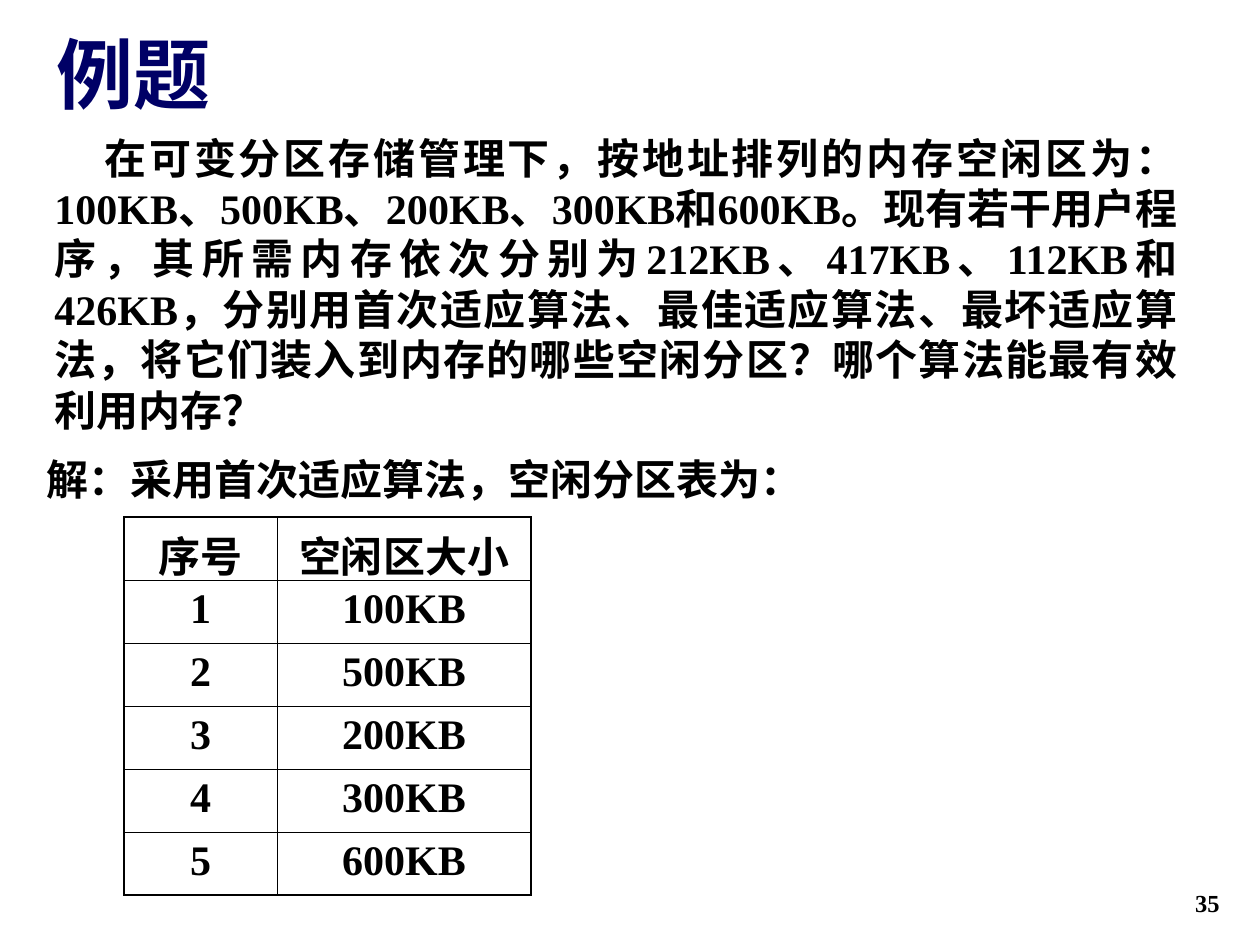
from lxml import etree
from pptx import Presentation
from pptx import util as u
from pptx.dml.color import RGBColor
from pptx.enum import text
from pptx.oxml.ns import qn

NAVY = RGBColor(0x00, 0x00, 0x66)
BLACK = RGBColor(0x00, 0x00, 0x00)
SANS, SERIF = "Cabin", "Times New Roman"
PX = u.Inches(1) // 126
THICK, THIN = u.Pt(1.08), u.Pt(0.45)

TITLE = "例题"
QUESTION = (
    "在可变分区存储管理下，按地址排列的内存空闲区为：100KB、500KB、200KB、300KB和600KB。"
    "现有若干用户程序，其所需内存依次分别为212KB、417KB、112KB和426KB，"
    "分别用首次适应算法、最佳适应算法、最坏适应算法，将它们装入到内存的哪些空闲分区？"
    "哪个算法能最有效利用内存？"
)
ANSWER = "解：采用首次适应算法，空闲分区表为："
HEADINGS = ("序号", "空闲区大小")
FREE_SIZES = ("100KB", "500KB", "200KB", "300KB", "600KB")
PAGE = "35"

TABLE_LEFT, TABLE_TOP, ROW_HEIGHT = 124, 517, 63
COLUMN_WIDTHS = (153, 254)


def write(frame, words, size=24, font=SERIF, color=BLACK,
          align=text.PP_ALIGN.LEFT, indent=0):
    paragraph = frame.paragraphs[0]
    paragraph.alignment = align
    if indent:
        paragraph._p.get_or_add_pPr().set("indent", str(indent * PX))
    run = paragraph.add_run()
    run.text = words
    run.font.size, run.font.bold = u.Pt(size), True
    run.font.name, run.font.color.rgb = font, color


def add_text(slide, box, words, anchor=text.MSO_ANCHOR.TOP, **style):
    frame = slide.shapes.add_textbox(*(n * PX for n in box)).text_frame
    frame.word_wrap = True
    frame.vertical_anchor = anchor
    write(frame, words, **style)


def set_borders(cell, widths):
    """Draw the left, right, top and bottom borders, in that order."""
    properties = cell._tc.get_or_add_tcPr()
    for index, (side, width) in enumerate(zip("LRTB", widths)):
        line = etree.Element(qn(f"a:ln{side}"), w=str(width))
        fill = etree.SubElement(line, qn("a:solidFill"))
        etree.SubElement(fill, qn("a:srgbClr"), val=str(BLACK))
        properties.insert(index, line)


def add_partition_table(slide):
    rows = [HEADINGS, *((str(n), size) for n, size in enumerate(FREE_SIZES, 1))]
    last_row, last_column = len(rows) - 1, len(HEADINGS) - 1
    table = slide.shapes.add_table(
        len(rows), len(HEADINGS), TABLE_LEFT * PX, TABLE_TOP * PX,
        sum(COLUMN_WIDTHS) * PX, len(rows) * ROW_HEIGHT * PX).table
    table.first_row = table.horz_banding = False
    for column, width in zip(table.columns, COLUMN_WIDTHS):
        column.width = width * PX
    for r, row in enumerate(rows):
        table.rows[r].height = ROW_HEIGHT * PX
        for c, words in enumerate(row):
            cell = table.cell(r, c)
            cell.fill.background()
            write(cell.text_frame, words, align=text.PP_ALIGN.CENTER)
            outer = (c == 0, c == last_column, r == 0, r == last_row)
            set_borders(cell, [THICK if edge else THIN for edge in outer])


def main():
    deck = Presentation()
    deck.slide_width, deck.slide_height = u.Inches(10), u.Inches(7.5)
    slide = deck.slides.add_slide(deck.slide_layouts[6])
    add_text(slide, (970, 861, 262, 63), PAGE, size=14,
             align=text.PP_ALIGN.RIGHT, anchor=text.MSO_ANCHOR.BOTTOM)
    add_text(slide, (44, 29, 1188, 96), TITLE, size=44, font=SANS, color=NAVY,
             anchor=text.MSO_ANCHOR.BOTTOM)
    add_text(slide, (42, 126, 1148, 315), QUESTION,
             align=text.PP_ALIGN.JUSTIFY, indent=50)
    add_text(slide, (34, 447, 908, 63), ANSWER, font=SANS)
    add_partition_table(slide)
    deck.save("out.pptx")


if __name__ == "__main__":
    main()
